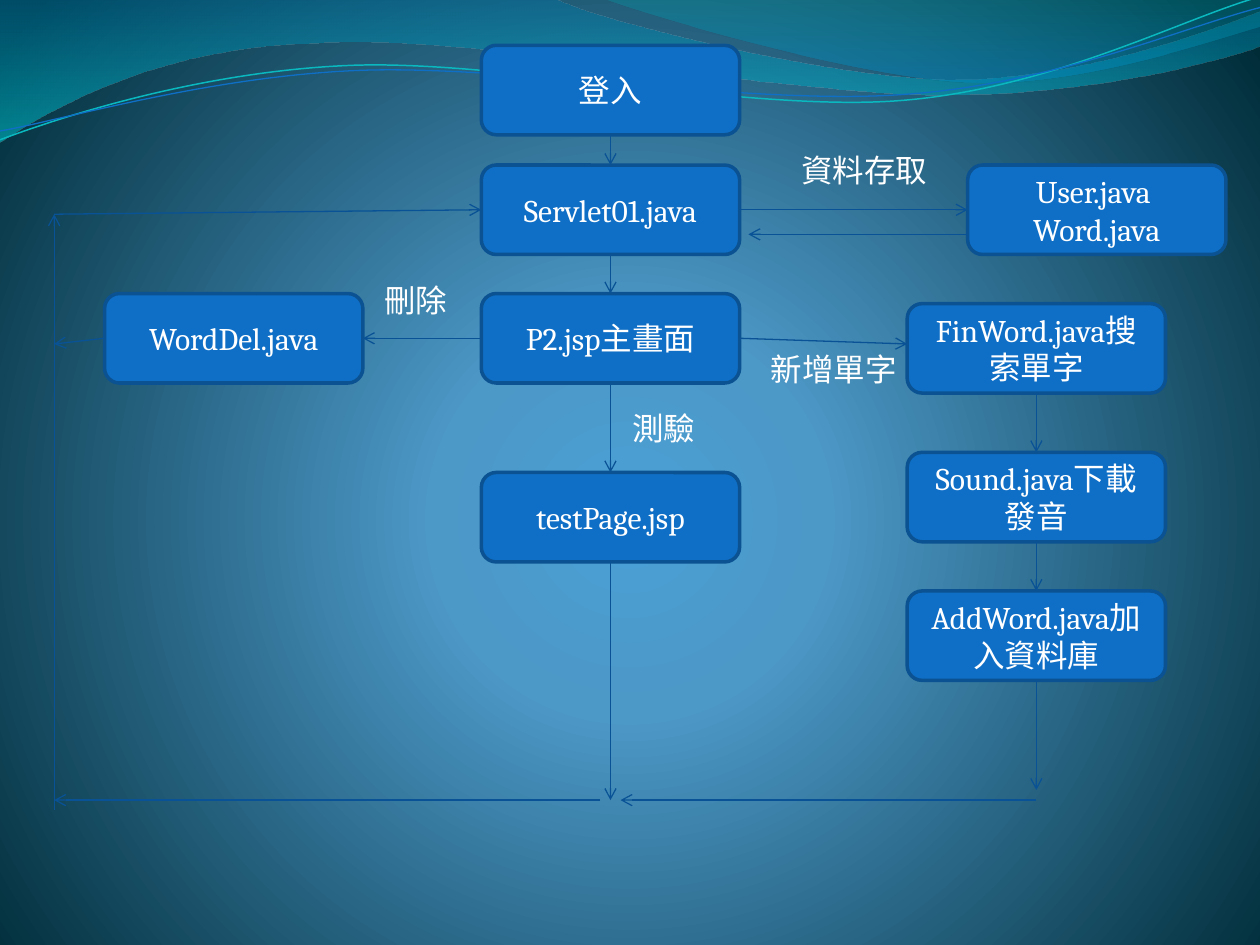
import pptx
import pptx.util
import pptx.dml.color
import pptx.enum.shapes
import pptx.enum.text
import pptx.oxml.ns
from lxml import etree

Inches, Pt = pptx.util.Inches, pptx.util.Pt
qn = pptx.oxml.ns.qn

FONT = "Cambria"
WHITE, BLUE, BORDER, ARROW = "FFFFFF", "0F6FC6", "0B5292", "095295"
BOX_W, BOX_H = 2.05, 0.71
TOP, LEFT, BOTTOM, RIGHT = range(4)

# Left edges of the flow's columns
DELETE_COL, MAIN_COL, ADD_COL, DATA_COL = 0.83, 3.82, 7.2, 7.68
# Return loop back to the servlet
LOOP_X, LOOP_Y, LOOP_TOP = 0.43, 6.35, 1.7
MAIN_X, ADD_X = MAIN_COL + BOX_W / 2, ADD_COL + BOX_W / 2

# Name: (column, row top, text)
STEPS = {
    "login": (MAIN_COL, 0.36, "登入"),
    "main": (MAIN_COL, 2.33, "P2.jsp主畫面"),
    "data": (DATA_COL, 1.31, "User.java  Word.java"),
    "test": (MAIN_COL, 3.75, "testPage.jsp"),
    "servlet": (MAIN_COL, 1.31, "Servlet01.java"),
    "find": (ADD_COL, 2.41, "FinWord.java搜索單字"),
    "sound": (ADD_COL, 3.59, "Sound.java下載發音"),
    "add": (ADD_COL, 4.69, "AddWord.java加入資料庫"),
    "delete": (DELETE_COL, 2.33, "WordDel.java"),
}

# Each end is a point, or a step with the side it joins
FLOWS = [
    (("login", BOTTOM), ("servlet", TOP)),
    (("servlet", BOTTOM), ("main", TOP)),
    (("find", BOTTOM), ("sound", TOP)),
    (("sound", BOTTOM), ("add", TOP)),
    (("servlet", RIGHT), ("data", LEFT)),
    ((DATA_COL, 1.86), (5.94, 1.86)),
    (("main", RIGHT), (ADD_COL, 2.73)),
    (("main", BOTTOM), ("test", TOP)),
    (("add", BOTTOM), (ADD_X, 6.27)),
    ((ADD_X, LOOP_Y), (MAIN_X + 0.08, LOOP_Y)),
    (("test", BOTTOM), (MAIN_X, LOOP_Y)),
    ((MAIN_X - 0.08, LOOP_Y), (LOOP_X, LOOP_Y)),
    ((LOOP_X, 6.43), (LOOP_X, LOOP_TOP)),
    ((LOOP_X, LOOP_TOP), ("servlet", LEFT)),
    (("delete", LEFT), (LOOP_X, 2.73)),
    (("main", LEFT), ("delete", RIGHT)),
]

# Left, top, width, text
LABELS = [
    (6.26, 1.15, 1.26, "資料存取"),
    (4.92, 3.2, 1.1, "測驗"),
    (6.02, 2.73, 1.65, "新增單字"),
    (2.95, 2.18, 1.1, "刪除"),
]

# Waves: a start, then points for a line or cubic curves (two controls and an end)
WIDE_WAVE = [(0, 0), [(4.4, -0.01)],
             [(4.76, 0.17), (6.64, 0.63), (7.58, 0.63)],
             [(8.53, 0.63), (9.58, 0.26), (10, 0.09)], [(10.01, 0.36)],
             [(9.83, 0.44), (8.7, 0.76), (7.46, 0.75)],
             [(6.22, 0.75), (3.82, 0.28), (2.57, 0.34)],
             [(1.29, 0.36), (0.46, 0.83), (-0.01, 1.13)], [(0, 0)]]
RIGHT_WAVE = [(4.79, -0.01),
              [(5.09, 0.11), (6.82, 0.62), (7.69, 0.65)],
              [(8.56, 0.69), (9.61, 0.32), (10, 0.21)], [(10, 0)], [(4.79, -0.01)]]
TEAL_LINE = [(0, 1.11),
             [(0.48, 0.93), (1.58, 0.57), (2.77, 0.52)],
             [(3.95, 0.47), (5.93, 0.89), (7.13, 0.8)],
             [(8.33, 0.71), (9.38, 0.15), (9.98, -0.02)]]
BLUE_LINE = [(0, 1.04),
             [(0.47, 0.96), (1.64, 0.61), (2.83, 0.56)],
             [(4.03, 0.51), (5.97, 0.84), (7.17, 0.75)],
             [(8.36, 0.67), (9.41, 0.21), (10, 0.06)]]


def color(hex_code):
    return pptx.dml.color.RGBColor.from_string(hex_code)


def set_gradient(fill, owner, stops, circle=None):
    """Stops are (position %, colour, opacity %); circle is the focus rectangle in %."""
    fill.gradient()
    gradient = next(owner.iter(qn("a:gradFill")))
    for child in list(gradient):
        gradient.remove(child)
    stop_list = etree.SubElement(gradient, qn("a:gsLst"))
    for position, hex_code, opacity in stops:
        stop = etree.SubElement(stop_list, qn("a:gs"), pos=str(position * 1000))
        tint = etree.SubElement(stop, qn("a:srgbClr"), val=hex_code)
        if opacity < 100:
            etree.SubElement(tint, qn("a:alpha"), val=str(opacity * 1000))
    if circle:
        shade = etree.SubElement(gradient, qn("a:path"), path="circle")
        focus = {side: str(share * 1000) for side, share in zip("ltrb", circle)}
        etree.SubElement(shade, qn("a:fillToRect"), focus)
    else:
        etree.SubElement(gradient, qn("a:lin"), ang="5400000", scaled="1")


def bend(wave, segments):
    """Turn each run of three straight segments into one cubic curve."""
    straights = iter(list(wave.element.iter(qn("a:lnTo"))))
    for segment in segments:
        pieces = [next(straights) for _ in segment]
        if len(pieces) == 3:
            curve = etree.Element(qn("a:cubicBezTo"))
            pieces[0].addprevious(curve)
            for piece in pieces:
                curve.append(piece[0])
                piece.getparent().remove(piece)


def add_wave(slide, outline, stops=None, line=None):
    start, *segments = outline
    points = [(Inches(x), Inches(y)) for x, y in [start, *sum(segments, [])]]
    builder = slide.shapes.build_freeform(*points[0])
    builder.add_line_segments(points[1:], close=bool(stops))
    wave = builder.convert_to_shape()
    bend(wave, segments)
    wave.shadow.inherit = False
    if stops:
        set_gradient(wave.fill, wave.element, stops)
        wave.line.fill.background()
    else:
        wave.fill.background()
        wave.line.color.rgb, wave.line.width = color(line[0]), Pt(line[1])


def write(frame, text, align):
    frame.word_wrap = True
    paragraph = frame.paragraphs[0]
    paragraph.alignment = align
    run = paragraph.add_run()
    run.text = text
    run.font.name, run.font.size = FONT, Pt(18)
    run.font.color.rgb = color(WHITE)


def add_step(slide, left, top, text):
    step = slide.shapes.add_shape(
        pptx.enum.shapes.MSO_SHAPE.ROUNDED_RECTANGLE,
        Inches(left), Inches(top), Inches(BOX_W), Inches(BOX_H))
    step.shadow.inherit = False
    step.fill.solid()
    step.fill.fore_color.rgb = color(BLUE)
    step.line.color.rgb, step.line.width = color(BORDER), Pt(2)
    step.text_frame.vertical_anchor = pptx.enum.text.MSO_ANCHOR.MIDDLE
    write(step.text_frame, text, pptx.enum.text.PP_ALIGN.CENTER)
    return step


def add_label(slide, left, top, width, text):
    label = slide.shapes.add_textbox(Inches(left), Inches(top), Inches(width), Inches(0.4))
    write(label.text_frame, text, pptx.enum.text.PP_ALIGN.LEFT)


def add_arrow(slide, steps, start, end):
    joined = [point[0] in steps for point in (start, end)]
    places = [(0, 0) if on_step else point for on_step, point in zip(joined, (start, end))]
    arrow = slide.shapes.add_connector(
        pptx.enum.shapes.MSO_CONNECTOR.STRAIGHT,
        *(Inches(length) for place in places for length in place))
    if joined[0]:
        arrow.begin_connect(steps[start[0]], start[1])
    if joined[1]:
        arrow.end_connect(steps[end[0]], end[1])
    arrow.line.color.rgb, arrow.line.width = color(ARROW), Pt(0.75)
    etree.SubElement(arrow.line._get_or_add_ln(), qn("a:tailEnd"), type="arrow")
    etree.SubElement(arrow.element.spPr, qn("a:effectLst"))


def main():
    deck = pptx.Presentation()
    deck.slide_width, deck.slide_height = Inches(10), Inches(7.5)
    slide = deck.slides.add_slide(deck.slide_layouts[6])

    # Backdrop
    set_gradient(slide.background.fill, slide.element,
                 [(0, "4AA0D6", 100), (25, "4C98C7", 100), (100, "002C38", 100)],
                 circle=(10, 110, 10, 100))
    add_wave(slide, WIDE_WAVE, stops=[(0, "0074A1", 45), (100, "00C6CF", 55)])
    add_wave(slide, RIGHT_WAVE, stops=[(0, "00A1A9", 30), (80, "008BBF", 45)])
    add_wave(slide, TEAL_LINE, line=("0AB8BF", 0.85))
    add_wave(slide, BLUE_LINE, line=(BLUE, 0.75))

    # Flow chart
    steps = {name: add_step(slide, *step) for name, step in STEPS.items()}
    for start, end in FLOWS:
        add_arrow(slide, steps, start, end)
    for label in LABELS:
        add_label(slide, *label)

    deck.save("out.pptx")


if __name__ == "__main__":
    main()
